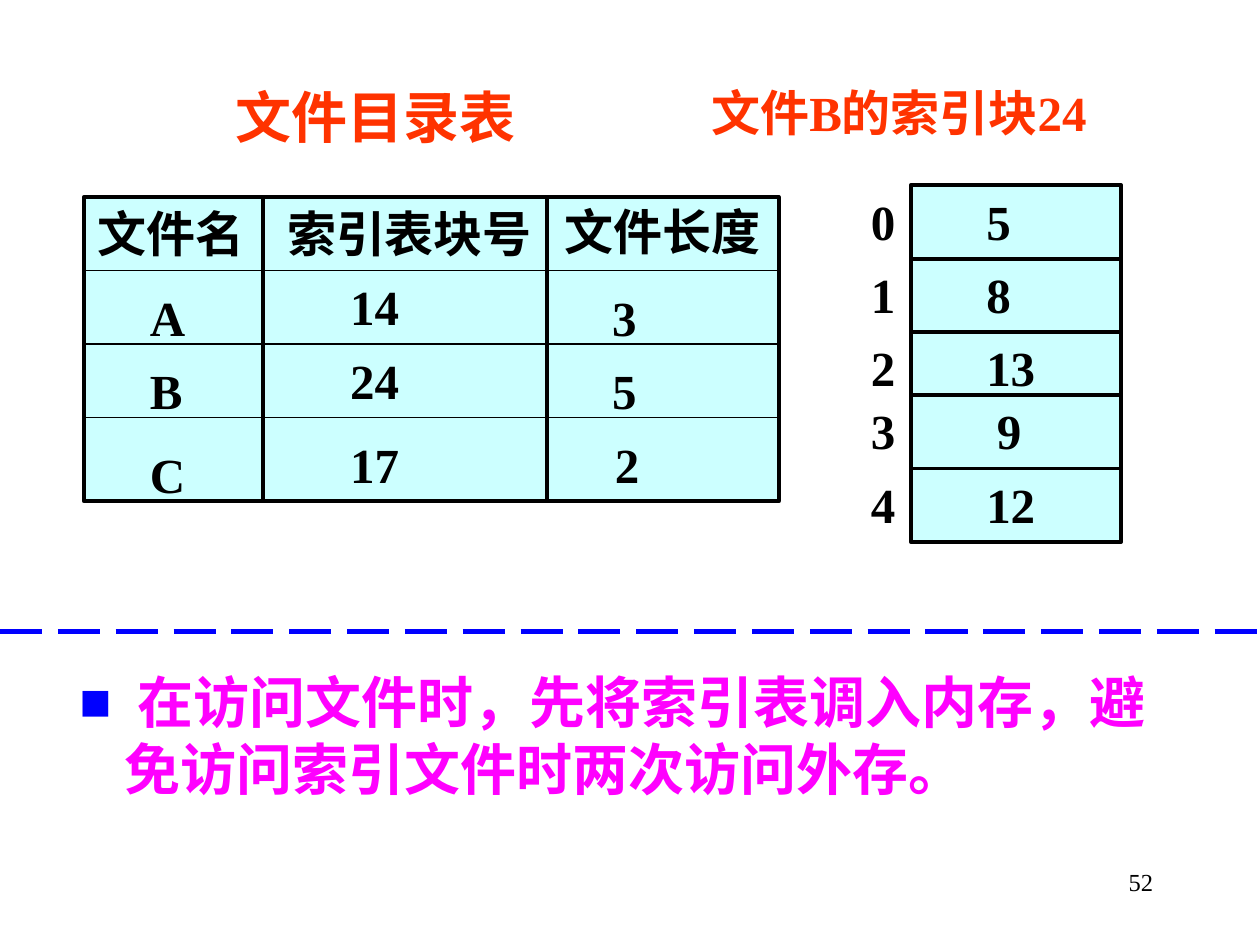
from dataclasses import dataclass

from lxml.etree import SubElement
from pptx import Presentation
from pptx.dml.color import RGBColor
from pptx.enum.dml import MSO_LINE
from pptx.enum.shapes import MSO_CONNECTOR, MSO_SHAPE
from pptx.enum.text import MSO_ANCHOR, MSO_AUTO_SIZE, PP_ALIGN
from pptx.oxml.ns import qn
from pptx.util import Pt

COLORS = {
    "ink": "000000",
    "cell": "CCFFFF",
    "heading": "FF3300",
    "divider": "0000FF",
    "statement": "FF00FF",
}
FONT_NAME = "Times New Roman"
ROW_TEXT_HEIGHT = 41
DIGIT_WIDTHS = {1: 28.5, 2: 43}
LETTER_WIDTH = 35


@dataclass
class Box:
    left: float
    top: float
    width: float
    height: float


@dataclass
class Segment:
    x1: float
    y1: float
    x2: float
    y2: float


@dataclass
class Label:
    text: str
    box: Box
    size: float = 28
    color: str = "ink"
    bold: bool = True
    wrap: bool = False
    align: PP_ALIGN = PP_ALIGN.LEFT


@dataclass
class IndexEntry:
    number: str
    block: str
    top: float
    block_left: float = 556.5


@dataclass
class DirectoryEntry:
    name: str
    index_block: str
    length: str
    name_top: float
    index_top: float
    length_top: float
    length_left: float = 342.75


def rgb(name: str) -> RGBColor:
    return RGBColor.from_string(COLORS[name])


def format_font(font, size: float, color: str, bold: bool) -> None:
    for attribute, value in {"name": FONT_NAME, "size": Pt(size), "bold": bold}.items():
        setattr(font, attribute, value)
    font.color.rgb = rgb(color)


def place(shape, box: Box) -> None:
    for attribute in ("left", "top", "width", "height"):
        setattr(shape, attribute, Pt(getattr(box, attribute)))


def fill_label(shape, label: Label) -> None:
    text_frame = shape.text_frame
    settings = {
        "text": label.text,
        "word_wrap": label.wrap,
        "vertical_anchor": MSO_ANCHOR.TOP,
        "auto_size": MSO_AUTO_SIZE.SHAPE_TO_FIT_TEXT,
    }
    for attribute, value in settings.items():
        setattr(text_frame, attribute, value)
    paragraph = text_frame.paragraphs[0]
    paragraph.alignment = label.align
    format_font(paragraph.runs[0].font, label.size, label.color, label.bold)


def draw_label(shapes, label: Label) -> None:
    box = label.box
    shape = shapes.add_textbox(Pt(box.left), Pt(box.top), Pt(box.width), Pt(box.height))
    fill_label(shape, label)


def draw_value(shapes, text: str, left: float, top: float) -> None:
    width = DIGIT_WIDTHS[len(text)] if text.isdigit() else LETTER_WIDTH
    draw_label(shapes, Label(text, Box(left, top, width, ROW_TEXT_HEIGHT)))


def draw_frame(shapes, box: Box) -> None:
    shape = shapes.add_shape(
        MSO_SHAPE.RECTANGLE, Pt(box.left), Pt(box.top), Pt(box.width), Pt(box.height)
    )
    shape.shadow.inherit = False
    shape.fill.solid()
    shape.fill.fore_color.rgb = rgb("cell")
    shape.line.color.rgb = rgb("ink")
    shape.line.width = Pt(2.25)


def draw_line(shapes, segment: Segment, width: float, color: str = "ink"):
    connector = shapes.add_connector(
        MSO_CONNECTOR.STRAIGHT,
        Pt(segment.x1), Pt(segment.y1), Pt(segment.x2), Pt(segment.y2),
    )
    connector.line.color.rgb = rgb(color)
    connector.line.width = Pt(width)
    SubElement(connector._element.spPr, qn("a:effectLst"))
    return connector


def draw_ruled_frame(shapes, box: Box, rows: list[float], width: float) -> None:
    draw_frame(shapes, box)
    for top in rows:
        draw_line(shapes, Segment(box.left, top, box.left + box.width, top), width)


def draw_index_block(slide) -> None:
    shapes = slide.shapes.add_group_shape().shapes
    entries = [
        IndexEntry("0", "5", 105.75),
        IndexEntry("1", "8", 147.75),
        IndexEntry("2", "13", 189.5),
        IndexEntry("3", "9", 225.5, 562.5),
        IndexEntry("4", "12", 267.75),
    ]
    rows = [entry.top for entry in entries[1:]]
    draw_ruled_frame(shapes, Box(520.5, 105.75, 120, 204), rows, 2.25)
    for entry in entries:
        draw_value(shapes, entry.number, 490.5, entry.top)
        draw_value(shapes, entry.block, entry.block_left, entry.top)


def draw_directory(slide) -> None:
    shapes = slide.shapes.add_group_shape().shapes
    top, height = 112.5, 174
    rows = [154.5, 196.5, 238.5]
    draw_ruled_frame(shapes, Box(48, top, 270.75, height), rows, 0.75)
    draw_line(shapes, Segment(150.5, top, 150.5, top + height), 2.25)
    draw_ruled_frame(shapes, Box(312.5, top, 132.5, height), rows, 0.75)

    headers = [
        Label("文件名", Box(48.5, top, 102, ROW_TEXT_HEIGHT)),
        Label("索引表块号", Box(157, top, 158, ROW_TEXT_HEIGHT)),
        Label("文件长度", Box(315.5, 111.5, 129.5, ROW_TEXT_HEIGHT), wrap=True),
    ]
    for header in headers:
        draw_label(shapes, header)

    entries = [
        DirectoryEntry("A", "14", "3", 160.5, 154.25, 160.5),
        DirectoryEntry("B", "24", "5", 202.5, 196.5, 202.5),
        DirectoryEntry("C", "17", "2", 250.5, 244.5, 244.5, 344.25),
    ]
    for entry in entries:
        draw_value(shapes, entry.name, 78.5, entry.name_top)
        draw_value(shapes, entry.index_block, 193, entry.index_top)
        draw_value(shapes, entry.length, entry.length_left, entry.length_top)


def draw_statement(slide) -> None:
    shape = slide.shapes.add_textbox(Pt(37), Pt(378), Pt(653), Pt(108))
    shape.text_frame.word_wrap = True
    paragraph = shape.text_frame.paragraphs[0]
    properties = paragraph._p.get_or_add_pPr()
    properties.set("marL", str(Pt(27)))
    properties.set("indent", str(Pt(-27)))
    bullet_color = SubElement(properties, qn("a:buClr"))
    SubElement(bullet_color, qn("a:srgbClr"), val=COLORS["divider"])
    SubElement(properties, qn("a:buSzPct"), val="185000")
    SubElement(properties, qn("a:buFont"), typeface=FONT_NAME)
    SubElement(properties, qn("a:buChar"), char="▪")
    statement = "在访问文件时，先将索引表调入内存，避免访问索引文件时两次访问外存。"
    for text, color in ((" ", "divider"), (statement, "statement")):
        run = paragraph.add_run()
        run.text = text
        format_font(run.font, 32, color, True)


def main() -> None:
    presentation = Presentation()
    presentation.slide_width, presentation.slide_height = Pt(720), Pt(540)
    slide = presentation.slides.add_slide(presentation.slide_layouts[5])

    title = Label("文件目录表", Box(127.5, 43.25, 187.25, 46), 32, "heading", wrap=True)
    place(slide.shapes.title, title.box)
    fill_label(slide.shapes.title, title)
    draw_label(slide.shapes, Label(
        "文件B的索引块24", Box(399.5, 43.5, 255, ROW_TEXT_HEIGHT), 28, "heading", wrap=True))
    draw_index_block(slide)
    draw_directory(slide)
    divider = draw_line(slide.shapes, Segment(0, 361, 720, 361), 3, "divider")
    divider.line.dash_style = MSO_LINE.LONG_DASH
    draw_statement(slide)
    draw_label(slide.shapes, Label(
        "52", Box(516, 492, 150, 36), 14, bold=False, wrap=True, align=PP_ALIGN.RIGHT))
    presentation.save("out.pptx")


if __name__ == "__main__":
    main()
